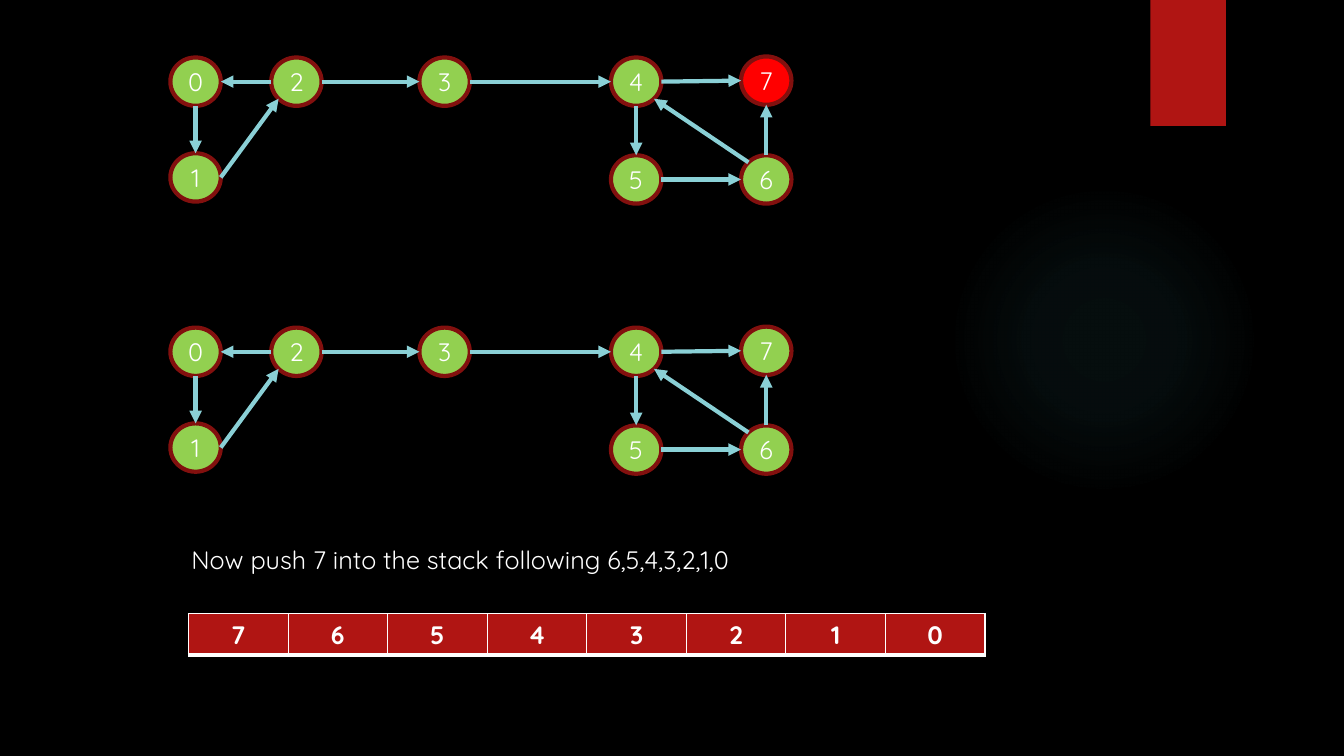
from dataclasses import dataclass
from math import sqrt
from lxml.etree import SubElement
from pptx import Presentation
from pptx.dml.color import RGBColor
from pptx.enum.shapes import MSO_CONNECTOR, MSO_SHAPE
from pptx.enum.text import MSO_ANCHOR, PP_ALIGN
from pptx.oxml import parse_xml
from pptx.oxml.ns import nsdecls, qn
from pptx.util import Inches, Pt


@dataclass(frozen=True)
class Theme:
    font: str = "Quicksand"
    size: int = 18
    back: str = "000000"
    text: str = "FFFFFF"
    red: str = "B01513"
    ring: str = "82100E"
    node: str = "92D050"
    hot: str = "FF0000"
    arrow: str = "8AD0D6"
    glow: str = "50B9C1"
    stroke: float = 3


THEME = Theme()
WIDE, HIGH = 0.5, 0.48

# Node label: left and top within a graph
NODES = {
    "0": (1.69, 0), "2": (2.69, 0), "1": (1.69, 0.95), "3": (4.16, 0),
    "4": (6.06, 0), "5": (6.06, 0.97), "6": (7.35, 0.97), "7": (7.35, -0.01),
}

# Points on a node's rim, as parts of its half width and half height
DIAG = sqrt(0.5)
RIM = {
    "left": (-1, 0), "right": (1, 0), "top": (0, -1), "bottom": (0, 1),
    "top left": (-DIAG, -DIAG), "low left": (-DIAG, DIAG),
    "low right": (DIAG, DIAG),
}
EDGES = [
    ("2", "left", "0", "right"), ("0", "bottom", "1", "top"),
    ("1", "right", "2", "low left"), ("2", "right", "3", "left"),
    ("3", "right", "4", "left"), ("5", "right", "6", "left"),
    ("4", "bottom", "5", "top"), ("6", "top", "7", "bottom"),
    ("4", "right", "7", "left"), ("6", "top left", "4", "low right"),
]


def color(code):
    return RGBColor.from_string(code)


def style(para, bold=False, align=PP_ALIGN.CENTER):
    para.alignment = align
    font = para.font
    font.name, font.size, font.bold = THEME.font, Pt(THEME.size), bold
    font.color.rgb = color(THEME.text)


def add_shape(slide, kind, box, fill):
    shape = slide.shapes.add_shape(kind, *map(Inches, box))
    shape.shadow.inherit = False
    shape.fill.solid()
    shape.fill.fore_color.rgb = color(fill)
    shape.line.fill.background()
    return shape


def add_glow(slide, box):
    shape = add_shape(slide, MSO_SHAPE.OVAL, box, THEME.glow)
    stops = "".join(
        f'<a:gs pos="{pos * 1000}"><a:srgbClr val="{THEME.glow}">'
        f'<a:alpha val="{alpha * 1000}"/></a:srgbClr></a:gs>'
        for pos, alpha in ((0, 7), (36, 6), (69, 0)))
    grad = parse_xml(
        f'<a:gradFill {nsdecls("a")}><a:gsLst>{stops}</a:gsLst>'
        '<a:path path="circle"><a:fillToRect l="50000" t="50000" '
        'r="50000" b="50000"/></a:path></a:gradFill>')
    props = shape._element.spPr
    props.replace(props.find(qn("a:solidFill")), grad)


def add_node(slide, label, left, top, fill):
    node = add_shape(slide, MSO_SHAPE.OVAL, (left, top, WIDE, HIGH), fill)
    node.line.color.rgb = color(THEME.ring)
    node.line.width = Pt(THEME.stroke)
    frame = node.text_frame
    frame.margin_left = frame.margin_right = 0
    frame.vertical_anchor = MSO_ANCHOR.MIDDLE
    frame.text = label
    style(frame.paragraphs[0])


def add_arrow(slide, start, end):
    arrow = slide.shapes.add_connector(
        MSO_CONNECTOR.STRAIGHT, *map(Inches, start + end))
    arrow.line.color.rgb = color(THEME.arrow)
    arrow.line.width = Pt(THEME.stroke)
    SubElement(arrow.line._get_or_add_ln(), qn("a:tailEnd"), type="triangle")
    SubElement(arrow._element.spPr, qn("a:effectLst"))


def rim_point(label, side, top):
    left, down = NODES[label]
    across, along = RIM[side]
    return (left + WIDE / 2 * (1 + across),
            top + down + HIGH / 2 * (1 + along))


def add_graph(slide, top, hot=None):
    for label, (left, down) in NODES.items():
        fill = THEME.hot if label == hot else THEME.node
        add_node(slide, label, left, top + down, fill)
    for source, out, target, into in EDGES:
        add_arrow(slide, rim_point(source, out, top),
                  rim_point(target, into, top))


def add_note(slide, text, box):
    frame = slide.shapes.add_textbox(*map(Inches, box)).text_frame
    frame.word_wrap = True
    frame.text = text
    style(frame.paragraphs[0], align=PP_ALIGN.LEFT)


def add_border(cell):
    props = cell._tc.get_or_add_tcPr()
    sides = (("L", 1), ("R", 1), ("T", 1), ("B", 3))
    for spot, (side, width) in enumerate(sides):
        props.insert(spot, parse_xml(
            f'<a:ln{side} {nsdecls("a")} w="{Pt(width)}"><a:solidFill>'
            f'<a:srgbClr val="{THEME.text}"/></a:solidFill></a:ln{side}>'))


def add_stack(slide, items, box):
    table = slide.shapes.add_table(
        1, len(items), *map(Inches, box)).table
    for cell, item in zip(table.rows[0].cells, items):
        cell.text = item
        style(cell.text_frame.paragraphs[0], bold=True)
        cell.fill.solid()
        cell.fill.fore_color.rgb = color(THEME.red)
        add_border(cell)


def main():
    deck = Presentation()
    deck.slide_width, deck.slide_height = Inches(13.33), Inches(7.5)
    slide = deck.slides.add_slide(deck.slide_layouts[6])
    slide.background.fill.solid()
    slide.background.fill.fore_color.rgb = color(THEME.back)

    # Backdrop
    add_glow(slide, (9.41, 1.83, 3.08, 3.08))
    add_shape(slide, MSO_SHAPE.RECTANGLE, (11.41, 0, 0.75, 1.25), THEME.red)

    # Graph before and after visiting 7
    add_graph(slide, 0.57, hot="7")
    add_graph(slide, 3.25)

    # Stack
    add_note(slide, "Now push 7 into the stack following 6,5,4,3,2,1,0",
             (1.8, 5.35, 6.74, 0.4))
    add_stack(slide, "76543210", (1.87, 6.09, 7.9, 0.41))
    deck.save("out.pptx")


if __name__ == "__main__":
    main()
